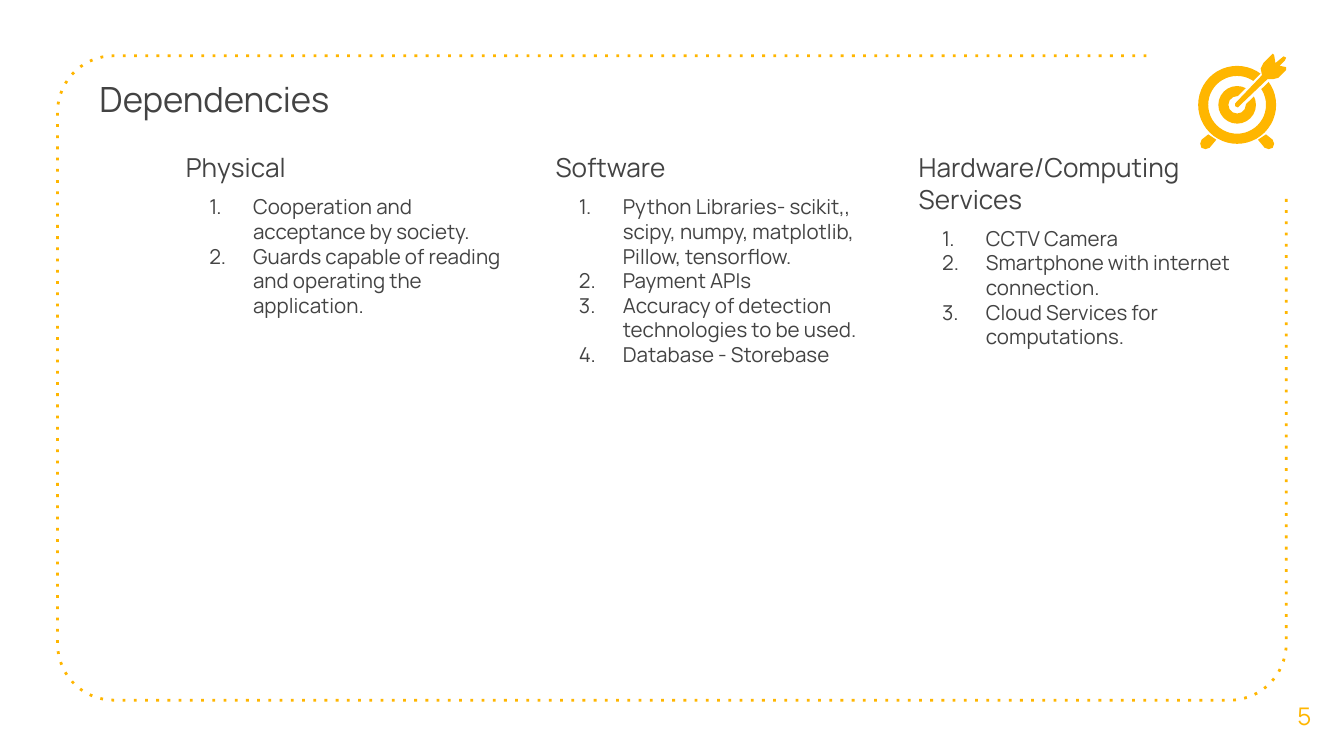
from math import cos, radians, sin

from lxml.etree import SubElement
from pptx import Presentation
from pptx.dml.color import RGBColor
from pptx.enum.dml import MSO_LINE
from pptx.enum.shapes import MSO_CONNECTOR, MSO_SHAPE
from pptx.enum.text import MSO_ANCHOR as Anchor, MSO_AUTO_SIZE as AutoSize, PP_ALIGN as Align
from pptx.oxml.ns import qn
from pptx.util import Inches, Pt

CELL = Inches(0.1)
COLUMNS, ROWS = 100, 56.25
FONT = "Manrope"
COLORS = {"accent": "FFB600", "text": "434343", "background": "FFFFFF"}
LISTS = [
    (12.83, "Physical", [
        "Cooperation and acceptance by society.",
        "Guards capable of reading and operating the application.",
    ]),
    (40.34, "Software", [
        "Python Libraries- scikit,, scipy, numpy, matplotlib, Pillow, tensorflow.",
        "Payment APIs",
        "Accuracy of detection technologies to be used.",
        "Database - Storebase",
    ]),
    (67.37, "Hardware/Computing Services", [
        "CCTV Camera",
        "Smartphone with internet connection.",
        "Cloud Services for computations.",
    ]),
]
TARGET_CENTER = (92.05, 7.8)
FOOT = [(89.9, 10), (89.4, 10.4), (89.3, 10.7), (89.4, 11), (89.7, 11.1), (90, 11), (90.5, 10.4)]
ARROW = [
    (94.7, 4), (94, 4.7), (93.8, 5.1), (93.9, 5.6), (91.9, 7.7), (91.9, 7.9), (92.1, 8),
    (92.2, 7.9), (94.3, 5.9), (94.7, 5.9), (95.1, 5.8), (95.7, 5.2), (95.7, 5), (95.2, 4.9),
    (95.6, 4.5), (95.7, 4.3), (95.5, 4.2), (94.9, 4.7), (94.8, 4.1),
]


def cells(*values):
    """Turn grid cells into slide lengths."""
    return [round(value * CELL) for value in values]


def color(name):
    """Look up a palette colour."""
    return RGBColor.from_string(COLORS[name])


def place(shape, left, top, width, height):
    """Move and size a shape on the grid."""
    shape.left, shape.top, shape.width, shape.height = cells(left, top, width, height)


def format_paragraph(paragraph, size, color_name="text", align=Align.LEFT, before=0):
    """Set the font, alignment and spacing of a paragraph."""
    paragraph.alignment = align
    paragraph.space_before = Pt(before)
    for run in paragraph.runs:
        run.font.name = FONT
        run.font.size = Pt(size)
        run.font.color.rgb = color(color_name)


def format_frame(frame, anchor=Anchor.TOP, wrap=True):
    """Give a text frame even margins and a fixed size."""
    frame.margin_left = frame.margin_right = frame.margin_top = frame.margin_bottom = CELL
    frame.vertical_anchor = anchor
    frame.auto_size = AutoSize.NONE
    frame.word_wrap = wrap


def set_numbering(paragraph, numbered):
    """Number a paragraph with a hanging indent, or clear its bullet."""
    properties = paragraph._p.get_or_add_pPr()
    left, indent = cells(5, -3.26) if numbered else (0, 0)
    properties.set("marL", str(left))
    properties.set("indent", str(indent))
    if numbered:
        SubElement(properties, qn("a:buFont"), typeface=FONT)
        SubElement(properties, qn("a:buAutoNum"), type="arabicPeriod")
    else:
        SubElement(properties, qn("a:buNone"))


def fill_list(shape, left, heading, items):
    """Write a heading and its numbered items."""
    place(shape, left, 10.28, 25.5, 24.7)
    frame = shape.text_frame
    format_frame(frame)
    frame.text = "\n".join([heading, *items])
    for index, paragraph in enumerate(frame.paragraphs):
        format_paragraph(paragraph, 11 if index else 14, before=6 if index == 1 else 0)
        set_numbering(paragraph, index > 0)


def add_outline(slide, points, close=True):
    """Draw a freeform through grid points."""
    start, *rest = [cells(*point) for point in points]
    builder = slide.shapes.build_freeform(*start)
    builder.add_line_segments(rest, close=close)
    shape = builder.convert_to_shape()
    shape.shadow.inherit = False
    return shape


def paint(shape):
    """Fill a shape with the accent colour and no line."""
    shape.fill.solid()
    shape.fill.fore_color.rgb = color("accent")
    shape.line.fill.background()


def corner(center_x, center_y, start, radius=4.2):
    """List the points of a quarter turn, counter-clockwise on the slide."""
    angles = [radians(start - step) for step in range(0, 91, 6)]
    return [(center_x + radius * cos(a), center_y + radius * sin(a)) for a in angles]


def add_frame(slide):
    """Draw the dotted frame that is open at the top right."""
    points = [(85.3, 4.15), *corner(8.48, 8.35, 270), *corner(8.48, 47.9, 180),
              *corner(91.5, 47.9, 90), (95.7, 14.6)]
    frame = add_outline(slide, points, close=False)
    frame.fill.background()
    frame.line.color.rgb = color("accent")
    frame.line.width = Pt(1.5)
    frame.line.dash_style = MSO_LINE.ROUND_DOT
    frame._element.spPr.find(".//" + qn("a:prstDash")).set("val", "dot")


def add_ring(slide, diameter, thickness):
    """Draw one ring of the target."""
    center_x, center_y = TARGET_CENTER
    box = cells(center_x - diameter / 2, center_y - diameter / 2, diameter, diameter)
    ring = slide.shapes.add_shape(MSO_SHAPE.DONUT, *box)
    ring.adjustments[0] = thickness / diameter
    ring.shadow.inherit = False
    paint(ring)


def add_target(slide):
    """Draw the target with its feet and arrow."""
    add_ring(slide, 5.8, 0.75)
    add_ring(slide, 2.8, 0.75)
    gap = slide.shapes.add_connector(MSO_CONNECTOR.STRAIGHT, *cells(*TARGET_CENTER, 94.7, 5.2))
    gap.line.color.rgb = color("background")
    gap.line.width = Pt(6)
    SubElement(gap._element.spPr, qn("a:effectLst"))
    mirrored_foot = [(2 * TARGET_CENTER[0] - x, y) for x, y in FOOT]
    for points in (FOOT, mirrored_foot, ARROW):
        paint(add_outline(slide, points))


def add_title(slide):
    """Fill the title placeholder."""
    title = slide.shapes.title
    place(title, 6.4, 4.8, 21.9, 5.1)
    format_frame(title.text_frame)
    title.text_frame.text = "Dependencies"
    format_paragraph(title.text_frame.paragraphs[0], 18.6)


def add_page_number(slide):
    """Write the page number in the bottom corner."""
    frame = slide.shapes.add_textbox(*cells(95.5, 51.2, 3.1, 4.1)).text_frame
    format_frame(frame, Anchor.MIDDLE, wrap=False)
    frame.text = "5"
    format_paragraph(frame.paragraphs[0], 13, "accent", Align.CENTER)


def main():
    """Build and save the slide."""
    presentation = Presentation()
    presentation.slide_width, presentation.slide_height = cells(COLUMNS, ROWS)
    slide = presentation.slides.add_slide(presentation.slide_layouts.get_by_name("Two Content"))
    add_frame(slide)
    add_title(slide)
    add_page_number(slide)
    bodies = [slide.placeholders[1], slide.placeholders[2], slide.shapes.add_textbox(0, 0, CELL, CELL)]
    for body, (left, heading, items) in zip(bodies, LISTS):
        fill_list(body, left, heading, items)
    add_target(slide)
    presentation.save("out.pptx")


if __name__ == "__main__":
    main()
